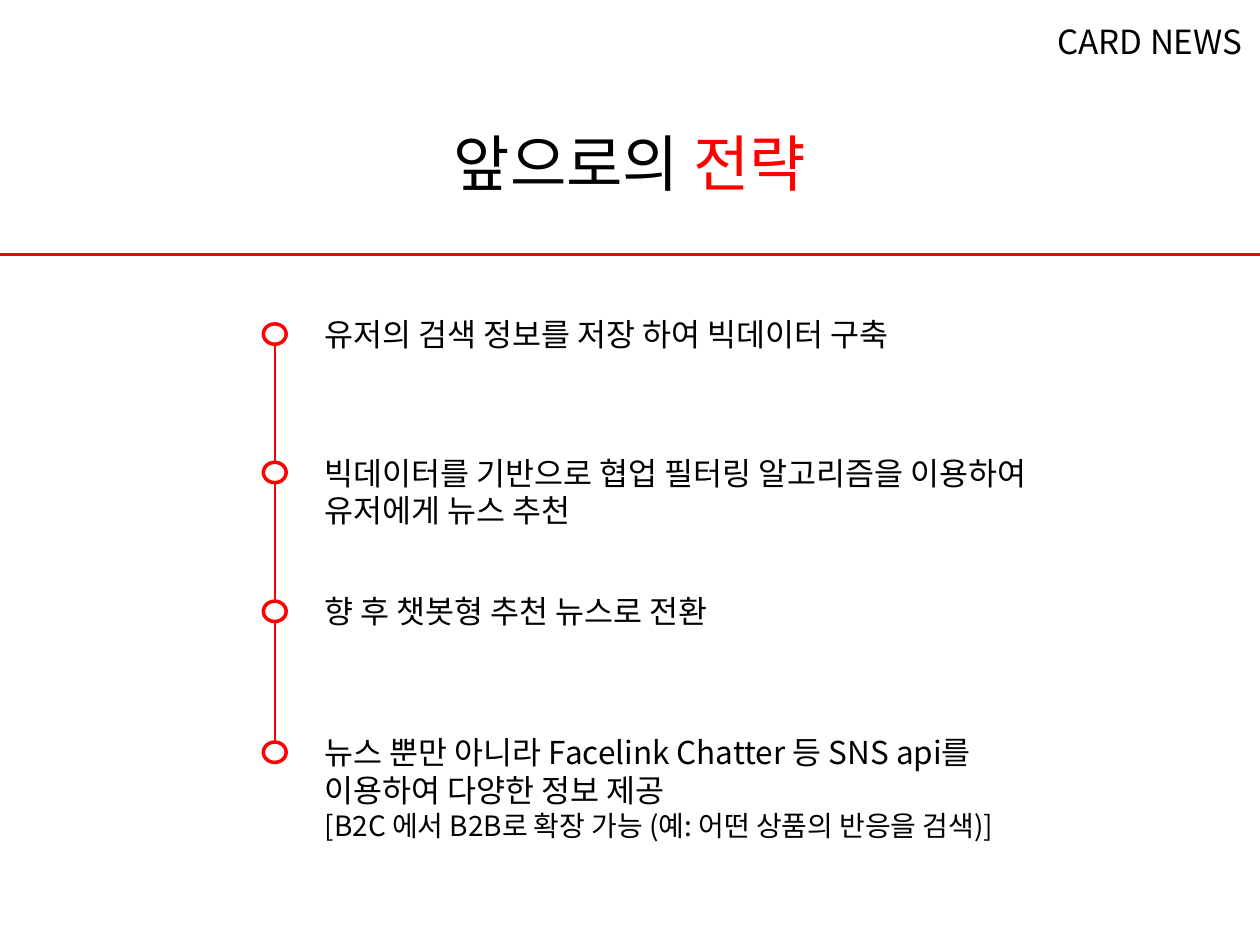
from dataclasses import dataclass
from itertools import pairwise

from lxml import etree
from pptx import Presentation
from pptx.dml.color import RGBColor
from pptx.enum.shapes import MSO_CONNECTOR, MSO_SHAPE
from pptx.enum.text import MSO_AUTO_SIZE, PP_ALIGN
from pptx.oxml.ns import qn
from pptx.slide import Slide
from pptx.util import Cm, Pt

LEFT, CENTER = PP_ALIGN.LEFT, PP_ALIGN.CENTER
STRAIGHT = MSO_CONNECTOR.STRAIGHT
OVAL = MSO_SHAPE.OVAL
FIT_SHAPE = MSO_AUTO_SIZE.SHAPE_TO_FIT_TEXT


@dataclass(frozen=True)
class Theme:
    font: str = "Noto Sans CJK KR"
    ink: RGBColor = RGBColor(0, 0, 0)
    accent: RGBColor = RGBColor(255, 0, 0)
    title: int = 35
    label: int = 19
    body: int = 18
    note: int = 16
    heavy: int = 2
    thin: int = 1


THEME = Theme()


@dataclass(frozen=True)
class Span:
    text: str
    size: int = THEME.body
    color: RGBColor = THEME.ink


@dataclass(frozen=True)
class Step:
    top: float  # top of the marker, in cm
    width: float
    height: float
    lines: list[Span]


# Timeline geometry in cm
MARKER_LEFT, MARKER_WIDTH, MARKER_HEIGHT = 5.31, 0.46, 0.41
AXIS = MARKER_LEFT + MARKER_WIDTH / 2
TEXT_LEFT, TEXT_RISE = 6.3, 0.3

STEPS = [
    Step(6.53, 16.48, 1.02, [Span("유저의 검색 정보를 저장 하여 빅데이터 구축")]),
    Step(9.32, 16.99, 1.78, [
        Span("빅데이터를 기반으로 협업 필터링 알고리즘을 이용하여 유저에게 뉴스 추천")]),
    Step(12.12, 17.75, 1.02, [Span("향 후 챗봇형 추천 뉴스로 전환")]),
    Step(14.96, 17.75, 2.41, [
        Span("뉴스 뿐만 아니라 Facelink Chatter 등 SNS api를"),
        Span("이용하여 다양한 정보 제공"),
        Span("[B2C 에서 B2B로 확장 가능 (예: 어떤 상품의 반응을 검색)]", THEME.note)]),
]


def add_text(page: Slide, left: float, top: float, width: float, height: float,
             paragraphs: list[list[Span]], align: PP_ALIGN = LEFT) -> None:
    box = page.shapes.add_textbox(Cm(left), Cm(top), Cm(width), Cm(height))
    frame = box.text_frame
    frame.word_wrap = True
    frame.auto_size = FIT_SHAPE
    for index, spans in enumerate(paragraphs):
        para = frame.add_paragraph() if index else frame.paragraphs[0]
        para.alignment = align
        for span in spans:
            run = para.add_run()
            run.text = span.text
            run.font.size = Pt(span.size)
            run.font.color.rgb = span.color
            run.font.name = THEME.font
            # Hangul takes its font from the East Asian slot
            east_asian = etree.SubElement(run.font._element, qn("a:ea"))
            east_asian.set("typeface", THEME.font)


def add_line(page: Slide, start: tuple[float, float], end: tuple[float, float],
             weight: int) -> None:
    line = page.shapes.add_connector(STRAIGHT, *map(Cm, start + end))
    line.line.color.rgb = THEME.accent
    line.line.width = Pt(weight)
    etree.SubElement(line._element.spPr, qn("a:effectLst"))


def add_marker(page: Slide, top: float) -> None:
    marker = page.shapes.add_shape(OVAL, Cm(MARKER_LEFT), Cm(top),
                                   Cm(MARKER_WIDTH), Cm(MARKER_HEIGHT))
    marker.shadow.inherit = False
    marker.fill.background()
    marker.line.color.rgb = THEME.accent
    marker.line.width = Pt(THEME.heavy)


def main() -> None:
    deck = Presentation()
    deck.slide_width, deck.slide_height = Cm(25.4), Cm(19.05)
    page = deck.slides.add_slide(deck.slide_layouts[6])

    # Header and title
    add_text(page, 20.68, 0.3, 5, 1.04, [[Span("CARD NEWS", THEME.label)]], CENTER)
    add_line(page, (0, 5.13), (25.43, 5.13), THEME.heavy)
    add_text(page, 7.9, 2.41, 9.6, 1.73,
             [[Span("앞으로의 ", THEME.title),
               Span("전략", THEME.title, THEME.accent)]], CENTER)

    # Timeline
    for step in STEPS:
        add_marker(page, step.top)
        add_text(page, TEXT_LEFT, step.top - TEXT_RISE, step.width, step.height,
                 [[span] for span in step.lines])
    for upper, lower in pairwise(STEPS):
        add_line(page, (AXIS, upper.top + MARKER_HEIGHT), (AXIS, lower.top), THEME.thin)

    deck.save("out.pptx")


if __name__ == "__main__":
    main()
